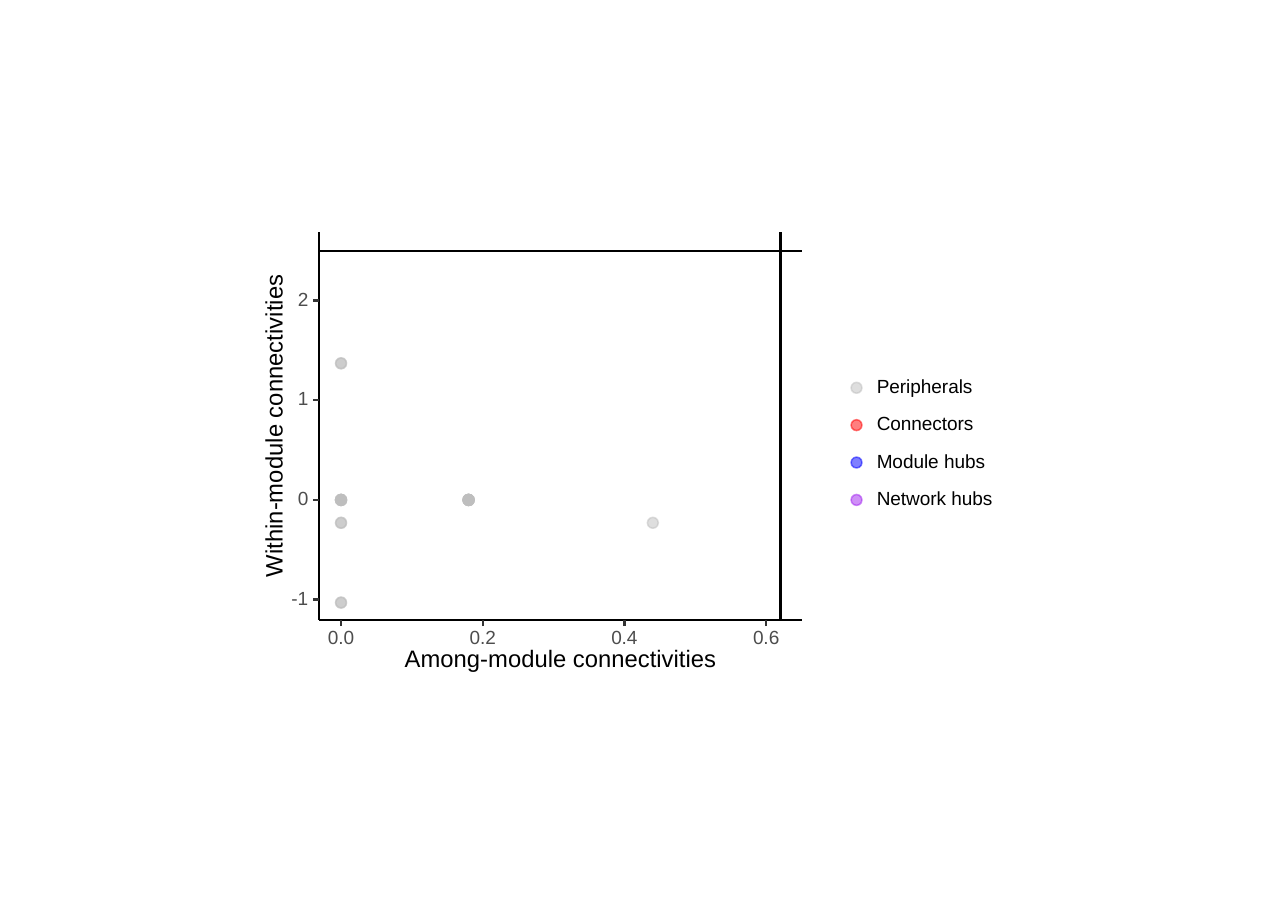
import dataclasses

import lxml.etree
import pptx
import pptx.dml.color
import pptx.enum.shapes
import pptx.enum.text
import pptx.oxml.ns
import pptx.util

Inches = pptx.util.Inches
Pt = pptx.util.Pt
Align = pptx.enum.text.PP_ALIGN

FONT = "Arial"
BLACK, TICK_COLOR, LABEL_COLOR, NODE_COLOR = "000000", "333333", "4D4D4D", "BEBEBE"
LABEL_SIZE, TITLE_SIZE = 8.8, 11
RULE_WIDTH, DOT_LINE_WIDTH = 1.07, 0.71
DOT_SIZE, DOT_OPACITY = 0.07, 50

# Plotting area, in inches
LEFT, RIGHT, TOP, BOTTOM = 2.05, 5.15, 1.49, 3.98
TICK_LENGTH = 0.04

# Scale: place of the zero and inches per unit on each axis
AMONG_ZERO, AMONG_UNIT = 2.19, 4.55
WITHIN_ZERO, WITHIN_UNIT = 3.21, 0.64
AMONG_THRESHOLD, WITHIN_THRESHOLD = 0.62, 2.5

LEGEND_TOP, LEGEND_STEP = 2.49, 0.24
LEGEND_DOT, LEGEND_TEXT = 5.5, 5.63


@dataclasses.dataclass
class NodeGroup:
    """Overlapping nodes that share both connectivities."""
    among: float
    within: float
    count: int


@dataclasses.dataclass
class Role:
    """Legend entry for a topological role."""
    name: str
    color: str


@dataclasses.dataclass
class Label:
    """Line of text in a box centred on a point."""
    text: str
    center: float
    middle: float
    width: float
    size: float = LABEL_SIZE
    color: str = BLACK
    align: Align = Align.CENTER
    rotation: int = 0


NODE_GROUPS = [
    NodeGroup(0, 1.37, 2),
    NodeGroup(0, 0, 6),
    NodeGroup(0, -0.23, 2),
    NodeGroup(0, -1.03, 2),
    NodeGroup(0.18, 0, 8),
    NodeGroup(0.44, -0.23, 1),
]
ROLES = [
    Role("Peripherals", NODE_COLOR),
    Role("Connectors", "FF0000"),
    Role("Module hubs", "0000FF"),
    Role("Network hubs", "A020F0"),
]


def rgb(color: str) -> pptx.dml.color.RGBColor:
    """Turn a hex string into a colour."""
    return pptx.dml.color.RGBColor.from_string(color)


def among_place(value: float) -> float:
    """Horizontal place of an among-module connectivity."""
    return AMONG_ZERO + value * AMONG_UNIT


def within_place(value: float) -> float:
    """Vertical place of a within-module connectivity."""
    return WITHIN_ZERO - value * WITHIN_UNIT


def draw_dot(slide, center: float, middle: float, color: str) -> None:
    """Draw a half-transparent dot centred on a point."""
    dot = slide.shapes.add_shape(
        pptx.enum.shapes.MSO_SHAPE.OVAL,
        Inches(center - DOT_SIZE / 2), Inches(middle - DOT_SIZE / 2),
        Inches(DOT_SIZE), Inches(DOT_SIZE))
    dot.shadow.inherit = False
    dot.fill.solid()
    dot.fill.fore_color.rgb = rgb(color)
    dot.line.color.rgb = rgb(color)
    dot.line.width = Pt(DOT_LINE_WIDTH)
    for paint in dot._element.spPr.iter(pptx.oxml.ns.qn("a:srgbClr")):
        alpha = lxml.etree.SubElement(paint, pptx.oxml.ns.qn("a:alpha"))
        alpha.set("val", str(DOT_OPACITY * 1000))


def draw_rule(slide, start: tuple[float, float], end: tuple[float, float],
              color: str = BLACK) -> None:
    """Draw a straight line between two points."""
    rule = slide.shapes.add_connector(
        pptx.enum.shapes.MSO_CONNECTOR.STRAIGHT,
        *(Inches(length) for length in (*start, *end)))
    rule.line.color.rgb = rgb(color)
    rule.line.width = Pt(RULE_WIDTH)
    lxml.etree.SubElement(rule._element.spPr, pptx.oxml.ns.qn("a:effectLst"))


def draw_label(slide, label: Label) -> None:
    """Draw one line of text."""
    height = label.size / 72
    box = slide.shapes.add_textbox(
        Inches(label.center - label.width / 2), Inches(label.middle - height / 2),
        Inches(label.width), Inches(height))
    box.rotation = label.rotation
    frame = box.text_frame
    frame.margin_left = frame.margin_right = frame.margin_top = frame.margin_bottom = 0
    frame.vertical_anchor = pptx.enum.text.MSO_ANCHOR.MIDDLE
    frame.word_wrap = True
    frame.text = label.text
    paragraph = frame.paragraphs[0]
    paragraph.alignment = label.align
    paragraph.line_spacing = Pt(label.size)
    font = paragraph.runs[0].font
    font.name, font.size = FONT, Pt(label.size)
    font.color.rgb = rgb(label.color)


def draw_axes(slide) -> None:
    """Draw both axes with ticks, tick labels and titles."""
    draw_rule(slide, (LEFT, BOTTOM), (LEFT, TOP))
    for value in range(-1, 3):
        middle = within_place(value)
        draw_rule(slide, (LEFT - TICK_LENGTH, middle), (LEFT, middle), TICK_COLOR)
        draw_label(slide, Label(str(value), 1.88, middle, 0.2,
                                color=LABEL_COLOR, align=Align.RIGHT))
    draw_rule(slide, (LEFT, BOTTOM), (RIGHT, BOTTOM))
    for tenths in range(0, 8, 2):
        center = among_place(tenths / 10)
        draw_rule(slide, (center, BOTTOM + TICK_LENGTH), (center, BOTTOM), TICK_COLOR)
        draw_label(slide, Label(f"{tenths / 10:.1f}", center, 4.1, 0.3, color=LABEL_COLOR))
    draw_label(slide, Label("Among-module connectivities", (LEFT + RIGHT) / 2, 4.24, 2.2,
                            size=TITLE_SIZE))
    draw_label(slide, Label("Within-module connectivities", 1.77, (TOP + BOTTOM) / 2, 2.2,
                            size=TITLE_SIZE, rotation=270))


def draw_legend(slide) -> None:
    """Draw a dot and a name for each role at equal steps."""
    width = 0.9
    for index, role in enumerate(ROLES):
        middle = LEGEND_TOP + index * LEGEND_STEP
        draw_dot(slide, LEGEND_DOT, middle, role.color)
        draw_label(slide, Label(role.name, LEGEND_TEXT + width / 2, middle, width,
                                align=Align.LEFT))


presentation = pptx.Presentation()
presentation.slide_width, presentation.slide_height = Inches(8.27), Inches(5.83)
network_slide = presentation.slides.add_slide(presentation.slide_layouts[6])
for group in NODE_GROUPS:
    for _ in range(group.count):
        draw_dot(network_slide, among_place(group.among), within_place(group.within), NODE_COLOR)
threshold_center = among_place(AMONG_THRESHOLD)
threshold_middle = within_place(WITHIN_THRESHOLD)
draw_rule(network_slide, (threshold_center, BOTTOM), (threshold_center, TOP))
draw_rule(network_slide, (LEFT, threshold_middle), (RIGHT, threshold_middle))
draw_axes(network_slide)
draw_legend(network_slide)
presentation.save("out.pptx")
